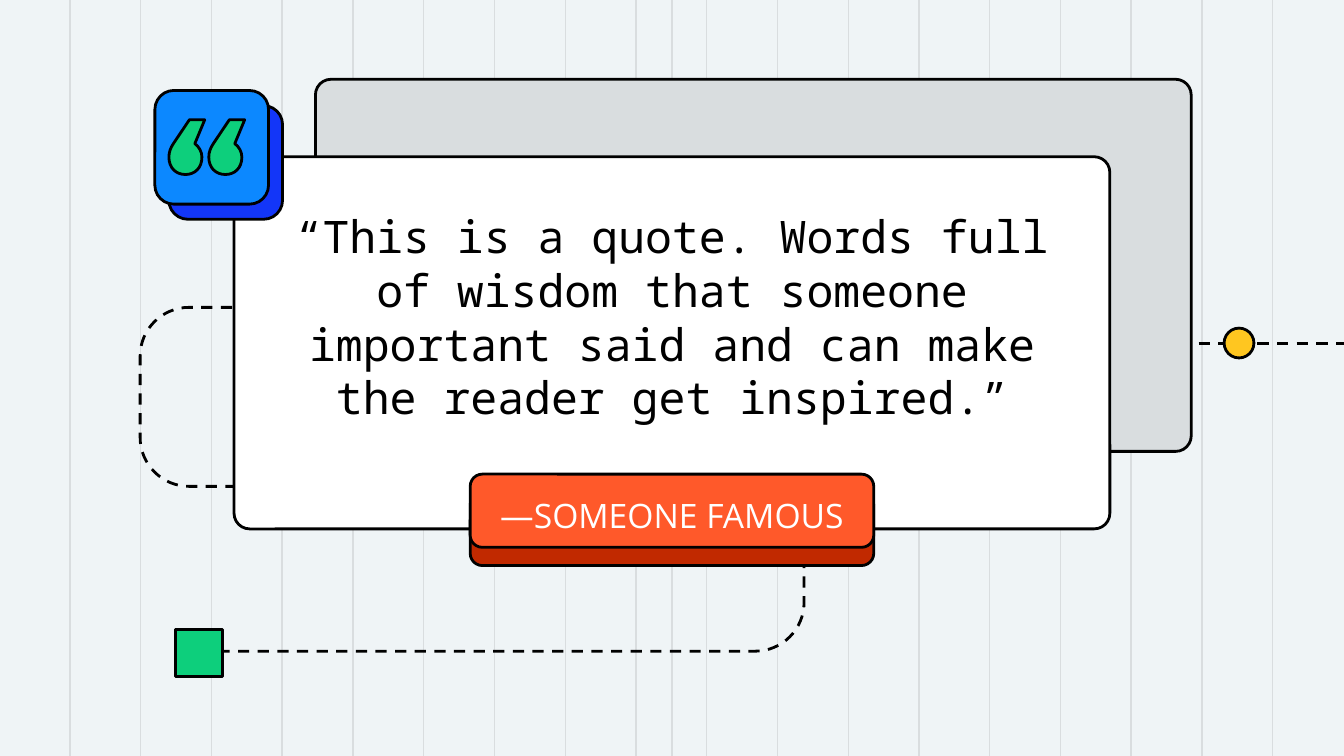
from dataclasses import dataclass

from lxml.etree import SubElement
from pptx import Presentation
from pptx.dml.color import RGBColor
from pptx.enum.dml import MSO_LINE as Dash
from pptx.enum.shapes import MSO_CONNECTOR as Connector, MSO_SHAPE as Preset
from pptx.enum.text import MSO_ANCHOR as Anchor, MSO_AUTO_SIZE as AutoSize, PP_ALIGN as Align
from pptx.oxml.ns import qn
from pptx.util import Pt

WIDTH, HEIGHT = 720, 405
BLACK, WHITE, GRAY, GREEN = "000000", "FFFFFF", "D9DDDF", "0DCF7C"


@dataclass
class Block:
    preset: Preset
    left: float
    top: float
    width: float
    height: float
    fill: str
    rounding: float | None = None


def color(value: str) -> RGBColor:
    return RGBColor.from_string(value)


def style_line(line, value: str, width: float, dashed: bool = False) -> None:
    line.color.rgb = color(value)
    line.width = Pt(width)
    if dashed:
        line.dash_style = Dash.DASH


def draw_block(slide, block: Block) -> None:
    shape = slide.shapes.add_shape(
        block.preset, Pt(block.left), Pt(block.top), Pt(block.width), Pt(block.height))
    shape.shadow.inherit = False
    if block.rounding is not None:
        shape.adjustments[0] = block.rounding
    shape.fill.solid()
    shape.fill.fore_color.rgb = color(block.fill)
    style_line(shape.line, BLACK, 1.5)


def draw_line(slide, start: tuple, end: tuple, value: str, width: float,
              dashed: bool = False) -> None:
    connector = slide.shapes.add_connector(
        Connector.STRAIGHT, Pt(start[0]), Pt(start[1]), Pt(end[0]), Pt(end[1]))
    style_line(connector.line, value, width, dashed)
    SubElement(connector._element.spPr, qn("a:effectLst"))


def bend_segments(shape, steps: list[tuple]) -> None:
    """Turn the segment of every six-number step into a cubic curve."""
    outline = next(shape._element.iter(qn("a:pathLst")))[0]
    segments = [segment for segment in outline if segment.tag != qn("a:close")]
    for segment, step in zip(segments, steps):
        if len(step) == 6:
            curve = outline.makeelement(qn("a:cubicBezTo"))
            for x, y in zip(step[::2], step[1::2]):
                SubElement(curve, qn("a:pt"), x=str(Pt(x) - shape.left), y=str(Pt(y) - shape.top))
            outline.replace(segment, curve)


def draw_outline(slide, contours: list[list[tuple]], fill: str | None = None) -> None:
    """Draw contours as one shape; without a fill they are open and dashed."""
    builder = None
    for steps in contours:
        points = [(Pt(step[-2]), Pt(step[-1])) for step in steps]
        if builder is None:
            builder = slide.shapes.build_freeform(*points[0])
        else:
            builder.move_to(*points[0])
        builder.add_line_segments(points[1:], close=fill is not None)
    shape = builder.convert_to_shape()
    bend_segments(shape, [step for steps in contours for step in steps])
    shape.shadow.inherit = False
    if fill:
        shape.fill.solid()
        shape.fill.fore_color.rgb = color(fill)
    else:
        shape.fill.background()
    style_line(shape.line, BLACK, 1.5, dashed=fill is None)


def write_text(shape, text: str, font: str, size: float, value: str, anchor: Anchor) -> None:
    frame = shape.text_frame
    frame.word_wrap = True
    frame.auto_size = AutoSize.NONE
    frame.vertical_anchor = anchor
    frame.margin_left = frame.margin_right = Pt(7.2)
    frame.margin_top = frame.margin_bottom = Pt(7.2)
    paragraph = frame.paragraphs[0]
    paragraph.alignment = Align.CENTER
    run = paragraph.add_run()
    run.text = text
    run.font.name = font
    run.font.size = Pt(size)
    run.font.color.rgb = color(value)


def main() -> None:
    presentation = Presentation()
    presentation.slide_width, presentation.slide_height = Pt(WIDTH), Pt(HEIGHT)
    slide = presentation.slides.add_slide(presentation.slide_layouts[5])
    slide.background.fill.solid()
    slide.background.fill.fore_color.rgb = color("EFF4F6")

    # Vertical grid, plus the center line
    for x in [37.5 + 37.9 * index for index in range(18)] + [WIDTH / 2]:
        draw_line(slide, (x, 0), (x, HEIGHT), GRAY, 0.75)

    # Dashed route with its green end, and dashed line to the right edge
    draw_outline(slide, [[
        (145.4, 164.7), (101.3, 164.7),
        (86.9, 164.7, 75.1, 176.4, 75.1, 190.8), (75.1, 234.4),
        (75.1, 248.8, 86.9, 260.6, 101.3, 260.6), (404.6, 260.6),
        (419, 260.6, 430.8, 272.3, 430.8, 286.7), (430.8, 322.8),
        (430.8, 337.2, 419, 348.9, 404.6, 348.9), (108.7, 348.9),
    ]])
    draw_block(slide, Block(Preset.RECTANGLE, 94, 337.1, 25.2, 25.2, GREEN))
    draw_line(slide, (505.4, 184), (WIDTH, 184), BLACK, 1.5, dashed=True)

    # Cards, yellow dot, attribution button and quote badge
    rounded = Preset.ROUNDED_RECTANGLE
    for block in (
        Block(rounded, 169, 42.5, 469.2, 199.4, GRAY, 0.042),
        Block(rounded, 125.4, 84, 469.2, 199.4, WHITE, 0.042),
        Block(Preset.OVAL, 655.8, 175.8, 16, 16, "FFC620"),
        Block(rounded, 251.9, 263.9, 216.2, 39.1, "C12900", 0.167),
        Block(rounded, 251.9, 254, 216.2, 39.2, "FF592A", 0.167),
        Block(rounded, 90.5, 56.6, 60.9, 60.9, "1336F8", 0.167),
        Block(rounded, 83, 48.5, 60.9, 60.9, "0C88FF", 0.167),
    ):
        draw_block(slide, block)

    # Quotation mark: the same drop twice
    draw_outline(slide, [[
        (101.5 + dx, 64.2), (92.9 + dx, 77),
        (91.4 + dx, 79.2, 90.5 + dx, 81.6, 90.5 + dx, 84.2),
        (90.5 + dx, 90, 94.3 + dx, 93.5, 99.4 + dx, 93.5),
        (104.4 + dx, 93.5, 108.2 + dx, 90, 108.2 + dx, 84.2),
        (108.2 + dx, 81.4, 106.6 + dx, 78.5, 104.4 + dx, 77),
        (109.7 + dx, 64.2),
    ] for dx in (0, 21.4)], GREEN)

    # Quote, brought in front of the cards
    title = slide.shapes.title
    title.left, title.top, title.width, title.height = Pt(143.3), Pt(104.6), Pt(433.4), Pt(135.4)
    write_text(title, "“This is a quote. Words full of wisdom that someone important "
               "said and can make the reader get inspired.”",
               "Noto Sans Mono", 24, BLACK, Anchor.TOP)
    slide.shapes._spTree.append(title._element)

    # Attribution
    attribution = slide.shapes.add_textbox(Pt(255.6), Pt(261.4), Pt(208.8), Pt(29.5))
    write_text(attribution, "—SOMEONE FAMOUS", "Open Sans", 18, WHITE, Anchor.MIDDLE)

    presentation.save("out.pptx")


if __name__ == "__main__":
    main()
